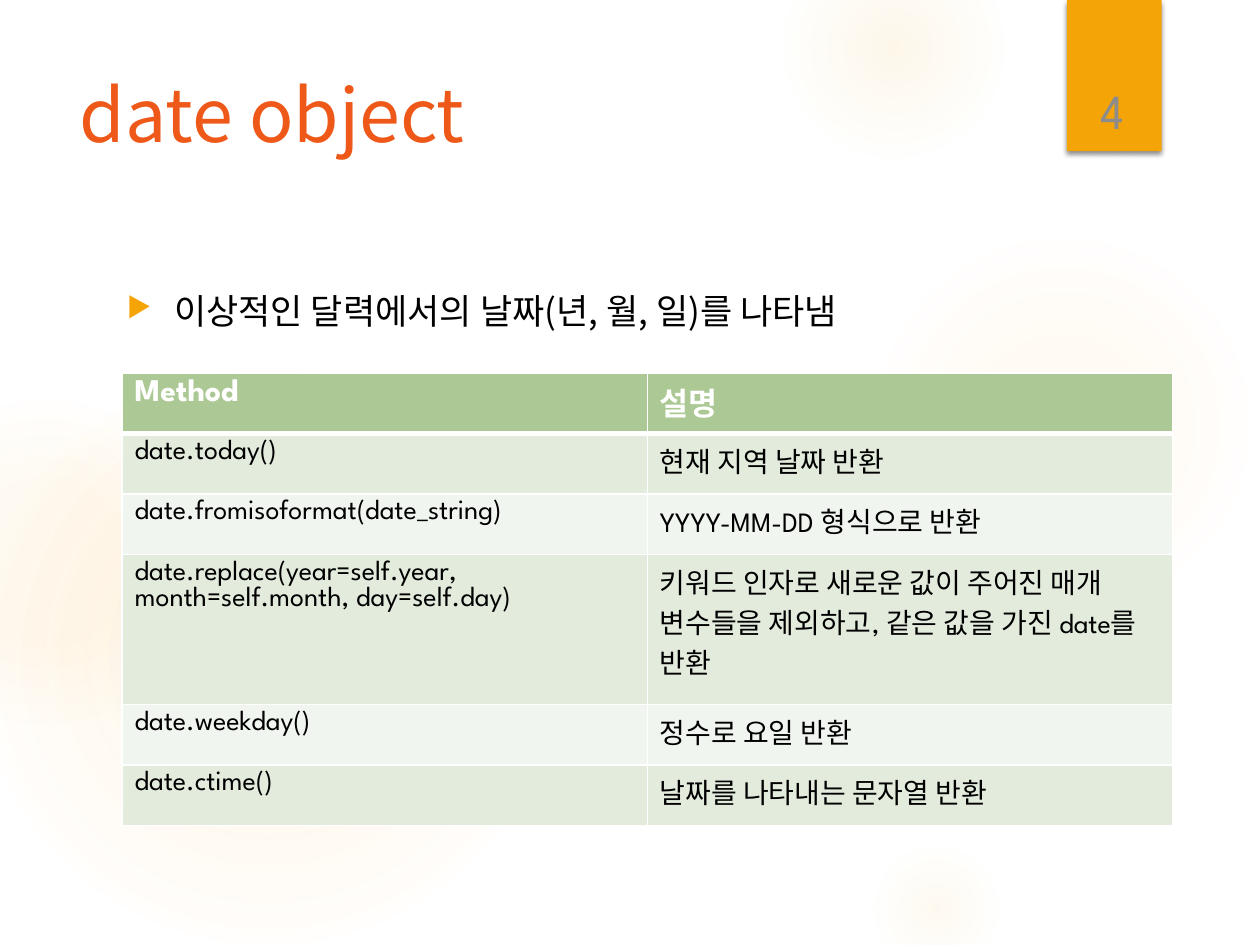
from dataclasses import dataclass

from lxml import etree
from pptx import Presentation, util as u
from pptx.dml import color
from pptx.enum import shapes, text
from pptx.oxml import ns


@dataclass(frozen=True)
class Theme:
    """Colours, fonts and type sizes of the slide."""
    orange: str = "EE5818"
    amber: str = "F5A408"
    glow: str = "FAC96A"
    grey: str = "8C8C8C"
    white: str = "FFFFFF"
    black: str = "000000"
    header: str = "ACC995"
    bands: tuple = ("E3EBDD", "F1F5EF")
    latin: str = "League Spartan"
    korean: str = "Noto Sans CJK KR"
    title_pt: int = 42
    number_pt: int = 28
    body_pt: int = 20
    header_pt: int = 18
    cell_pt: int = 16


THEME = Theme()

GLOWS = [
    (17.5, 4.65, 7.82, ((0, 7), (36, 6), (69, 0))),
    (15.8, -1.27, 4.45, ((0, 14), (36, 7), (73, 0))),
    (17.5, 16.94, 2.74, ((0, 10), (31, 5), (66, 0))),
    (-0.43, 7.42, 11.63, ((0, 11), (36, 10), (75, 0))),
    (-2.34, 8.05, 6.55, ((0, 8), (36, 8), (72, 0))),
]

METHODS = [
    ("Method", "설명"),
    ("date.today()", "현재 지역 날짜 반환"),
    ("date.fromisoformat(date_string)", "YYYY-MM-DD 형식으로 반환"),
    ("date.replace(year=self.year, month=self.month, day=self.day)",
     "키워드 인자로 새로운 값이 주어진 매개 변수들을 제외하고, 같은 값을 가진 date를 반환"),
    ("date.weekday()", "정수로 요일 반환"),
    ("date.ctime()", "날짜를 나타내는 문자열 반환"),
]


def add_xml(parent, tag, **attributes):
    """Append a drawing element to its parent and return it."""
    return etree.SubElement(parent, ns.qn(tag), attributes)


def style(paragraph, size, hue, face, bold=False):
    """Format every run of a paragraph, with the Korean face for Hangul."""
    for run in paragraph.runs:
        run.font.size = u.Pt(size)
        run.font.bold = bold
        run.font.name = face
        run.font.color.rgb = color.RGBColor.from_string(hue)
        add_xml(run.font._element, "a:ea", typeface=THEME.korean)


def add_glow(slide, left, top, diameter, stops):
    """Add a soft circle that fades out from its centre."""
    glow = slide.shapes.add_shape(shapes.MSO_SHAPE.OVAL, u.Cm(left), u.Cm(top),
                                  u.Cm(diameter), u.Cm(diameter))
    glow.shadow.inherit = False
    glow.line.fill.background()
    glow.fill.background()
    gradient = etree.Element(ns.qn("a:gradFill"), rotWithShape="1")
    stop_list = add_xml(gradient, "a:gsLst")
    for position, opacity in stops:
        stop = add_xml(stop_list, "a:gs", pos=str(position * 1000))
        hue = add_xml(stop, "a:srgbClr", val=THEME.glow)
        add_xml(hue, "a:alpha", val=str(opacity * 1000))
    centre = add_xml(gradient, "a:path", path="circle")
    add_xml(centre, "a:fillToRect", **dict.fromkeys("ltrb", "50000"))
    properties = glow._element.spPr
    properties.replace(properties.find(ns.qn("a:noFill")), gradient)


def add_ribbon(slide):
    """Add the ribbon that hangs behind the page number."""
    ribbon = slide.shapes.add_shape(shapes.MSO_SHAPE.RECTANGLE, u.Cm(21.51), 0,
                                    u.Cm(1.91), u.Cm(3.05))
    ribbon.shadow.inherit = False
    ribbon.line.fill.background()
    ribbon.fill.solid()
    ribbon.fill.fore_color.rgb = color.RGBColor.from_string(THEME.amber)
    effects = ribbon._element.spPr.find(ns.qn("a:effectLst"))
    shadow = add_xml(effects, "a:outerShdw", blurRad=str(u.Pt(3)), dist=str(u.Pt(2)),
                     dir="5400000", rotWithShape="0")
    hue = add_xml(shadow, "a:srgbClr", val=THEME.black)
    add_xml(hue, "a:alpha", val="45000")


def set_title(slide, wording):
    """Place and format the title placeholder."""
    title = slide.shapes.title
    title.left, title.top = u.Cm(1.35), u.Cm(1.27)
    title.width, title.height = u.Cm(19.61), u.Cm(3.89)
    frame = title.text_frame
    frame.text = wording
    frame.vertical_anchor = text.MSO_ANCHOR.TOP
    frame.paragraphs[0].alignment = text.PP_ALIGN.LEFT
    style(frame.paragraphs[0], THEME.title_pt, THEME.orange, THEME.korean)


def add_text(slide, box, wording, size, hue, face):
    """Add a wrapping text box and return its frame."""
    frame = slide.shapes.add_textbox(*map(u.Cm, box)).text_frame
    frame.word_wrap = True
    frame.text = wording
    style(frame.paragraphs[0], size, hue, face)
    return frame


def add_bullet(paragraph):
    """Give a paragraph a hanging triangle bullet."""
    properties = paragraph._p.get_or_add_pPr()
    properties.set("marL", str(u.Cm(0.95)))
    properties.set("indent", str(-u.Cm(0.95)))
    hue = add_xml(properties, "a:buClr")
    add_xml(hue, "a:srgbClr", val=THEME.amber)
    add_xml(properties, "a:buSzPct", val="80000")
    add_xml(properties, "a:buChar", char="▶")


def add_borders(cell, widths):
    """Draw white borders of the given widths around a cell."""
    properties = cell._tc.get_or_add_tcPr()
    for side, width in widths.items():
        line = add_xml(properties, f"a:ln{side}", w=str(u.Pt(width)))
        fill = add_xml(line, "a:solidFill")
        add_xml(fill, "a:srgbClr", val=THEME.white)


def add_methods(slide):
    """Add the table of methods with a header and banded rows."""
    table = slide.shapes.add_table(len(METHODS), 2, u.Cm(2.46), u.Cm(7.52),
                                   u.Cm(21.18), u.Cm(9.12)).table
    for column in table.columns:
        column.width = u.Cm(10.59)
    for index, wordings in enumerate(METHODS):
        is_header = index == 0
        table.rows[index].height = u.Cm(3.02 if index == 3 else 1.22)
        band = THEME.header if is_header else THEME.bands[(index - 1) % 2]
        size = THEME.header_pt if is_header else THEME.cell_pt
        hue = THEME.white if is_header else THEME.black
        widths = {"L": 1, "R": 1, "T": 3 if index == 1 else 1, "B": 3 if is_header else 1}
        for cell, wording in zip(table.rows[index].cells, wordings):
            add_borders(cell, widths)
            cell.fill.solid()
            cell.fill.fore_color.rgb = color.RGBColor.from_string(band)
            cell.text_frame.text = wording
            style(cell.text_frame.paragraphs[0], size, hue, THEME.latin, is_header)


def main():
    """Build the slide and save it."""
    deck = Presentation()
    deck.slide_width, deck.slide_height = u.Cm(25.4), u.Cm(19.05)
    slide = deck.slides.add_slide(deck.slide_layouts[5])
    for glow in GLOWS:
        add_glow(slide, *glow)
    add_ribbon(slide)
    set_title(slide, "date object")
    summary = add_text(slide, (2.31, 5.72, 18.64, 11.66),
                       "이상적인 달력에서의 날짜(년, 월, 일)를 나타냄",
                       THEME.body_pt, THEME.black, THEME.korean)
    add_bullet(summary.paragraphs[0])
    add_methods(slide)
    number = add_text(slide, (21.56, 0.81, 1.75, 2.13), "4",
                      THEME.number_pt, THEME.grey, THEME.latin)
    number.vertical_anchor = text.MSO_ANCHOR.BOTTOM
    number.paragraphs[0].alignment = text.PP_ALIGN.CENTER
    deck.save("out.pptx")


if __name__ == "__main__":
    main()
